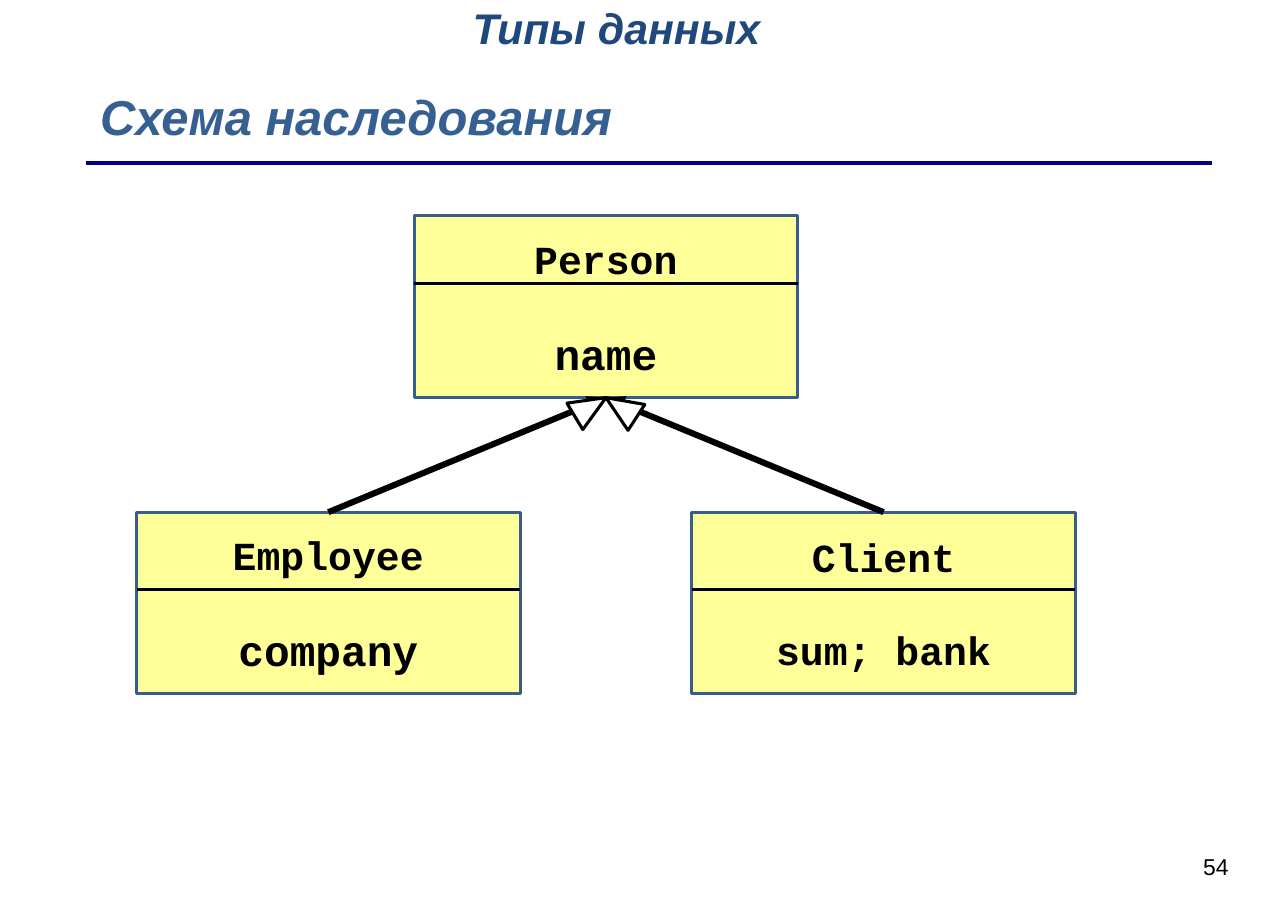
from dataclasses import dataclass
from math import cos, radians, sin

from lxml.etree import SubElement
from pptx import Presentation
from pptx.dml.color import RGBColor
from pptx.enum.shapes import MSO_CONNECTOR, MSO_SHAPE
from pptx.enum.text import MSO_ANCHOR, PP_ALIGN
from pptx.oxml.ns import qn
from pptx.util import Inches, Pt


@dataclass(frozen=True)
class Theme:
    sans: str = "Arial"
    mono: str = "Courier New"
    black: str = "000000"
    white: str = "FFFFFF"
    course: str = "1F497D"
    title: str = "376092"
    rule: str = "000080"
    class_fill: str = "FFFF99"
    class_border: str = "385D8A"
    number_size: int = 15
    title_size: int = 32
    course_size: int = 28
    class_size: int = 26
    field_size: int = 28
    field_gap: int = 30
    thin: int = 2
    medium: int = 3
    thick: int = 4


THEME = Theme()


def write(paragraph, text, size, color=THEME.black, font=THEME.sans,
          bold=False, italic=False, align=PP_ALIGN.LEFT, before=None):
    paragraph.alignment = align
    if before is not None:
        paragraph.space_before = Pt(before)
    run = paragraph.add_run()
    run.text = text
    run.font.name = font
    run.font.size = Pt(size)
    run.font.bold = bold
    run.font.italic = italic
    run.font.color.rgb = RGBColor.from_string(color)


def add_label(slide, left, top, width, height, text, wrap=True, indent=0, **style):
    label = slide.shapes.add_textbox(Inches(left), Inches(top), Inches(width), Inches(height))
    frame = label.text_frame
    frame.word_wrap = wrap
    frame.margin_left = Inches(0.1 + indent)
    write(frame.paragraphs[0], text, **style)


def add_line(shapes, start, end, color, weight, arrow=False):
    line = shapes.add_connector(MSO_CONNECTOR.STRAIGHT, *map(Inches, start + end))
    line.line.color.rgb = RGBColor.from_string(color)
    line.line.width = Pt(weight)
    if arrow:
        SubElement(line.line._get_or_add_ln(), qn("a:tailEnd"), type="triangle")
    SubElement(line._element.spPr, qn("a:effectLst"))


def add_outlined(shapes, kind, left, top, width, height, fill, border):
    shape = shapes.add_shape(kind, Inches(left), Inches(top), Inches(width), Inches(height))
    shape.shadow.inherit = False
    shape.fill.solid()
    shape.fill.fore_color.rgb = RGBColor.from_string(fill)
    shape.line.color.rgb = RGBColor.from_string(border)
    shape.line.width = Pt(THEME.thin)
    return shape


def add_header(slide, left, top, width, course, title):
    add_line(slide.shapes, (left, top + 1.48), (left + width, top + 1.48),
             THEME.rule, THEME.medium)
    add_label(slide, left + 0.03, top + 0.74, 9.83, 0.64, title, size=THEME.title_size,
              color=THEME.title, bold=True, italic=True)
    add_label(slide, left + 3.21, top - 0.03, 3.02, 0.57, course, wrap=False, indent=0.2,
              size=THEME.course_size, color=THEME.course, bold=True, italic=True)


def add_class(slide, left, top, width, height, name, fields, name_height,
              field_size=THEME.field_size):
    group = slide.shapes.add_group_shape()
    body = add_outlined(group.shapes, MSO_SHAPE.FLOWCHART_PROCESS, left, top, width, height,
                        THEME.class_fill, THEME.class_border)
    frame = body.text_frame
    frame.word_wrap = True
    frame.vertical_anchor = MSO_ANCHOR.MIDDLE
    style = dict(font=THEME.mono, bold=True, align=PP_ALIGN.CENTER)
    write(frame.paragraphs[0], name, THEME.class_size, **style)
    write(frame.add_paragraph(), fields, field_size, before=THEME.field_gap, **style)
    divider = top + name_height
    add_line(group.shapes, (left, divider), (left + width, divider), THEME.black, THEME.thin)


def add_arrowhead(slide, tip, tilt, width=0.28, height=0.33):
    center_x = tip[0] - height / 2 * sin(radians(tilt))
    center_y = tip[1] + height / 2 * cos(radians(tilt))
    head = add_outlined(slide.shapes, MSO_SHAPE.ISOSCELES_TRIANGLE, center_x - width / 2,
                        center_y - height / 2, width, height, THEME.white, THEME.black)
    head.rotation = tilt % 360


def add_inheritance(slide, left, top, width, height):
    class_width, class_height = 3.48, 1.65
    center = left + width / 2
    child_top = top + height - class_height
    client_left = left + width - class_width
    add_class(slide, center - class_width / 2, top, class_width, class_height,
              "Person", "name", 0.61)
    add_class(slide, left, child_top, class_width, class_height, "Employee", "company", 0.7)
    add_class(slide, client_left, child_top, class_width, class_height,
              "Client", "sum; bank", 0.7, field_size=THEME.class_size)
    parent_bottom = (center, top + class_height)
    for child_left in (left, client_left):
        add_line(slide.shapes, (child_left + class_width / 2, child_top), parent_bottom,
                 THEME.black, THEME.thick, arrow=True)
    for tilt in (-57, 59):
        add_arrowhead(slide, parent_bottom, tilt)


def add_page_number(slide, left, top, width, height, number):
    add_label(slide, left, top, width, height, number, size=THEME.number_size,
              align=PP_ALIGN.RIGHT)


def main():
    deck = Presentation()
    deck.slide_width = Inches(11.69)
    deck.slide_height = Inches(8.28)
    slide = deck.slides.add_slide(deck.slide_layouts[6])
    add_page_number(slide, 8.68, 7.69, 2.57, 0.57, "54")
    add_header(slide, 0.78, 0, 10.22, "Типы данных", "Схема наследования")
    add_inheritance(slide, 1.24, 1.96, 8.52, 4.34)
    deck.save("out.pptx")


if __name__ == "__main__":
    main()
